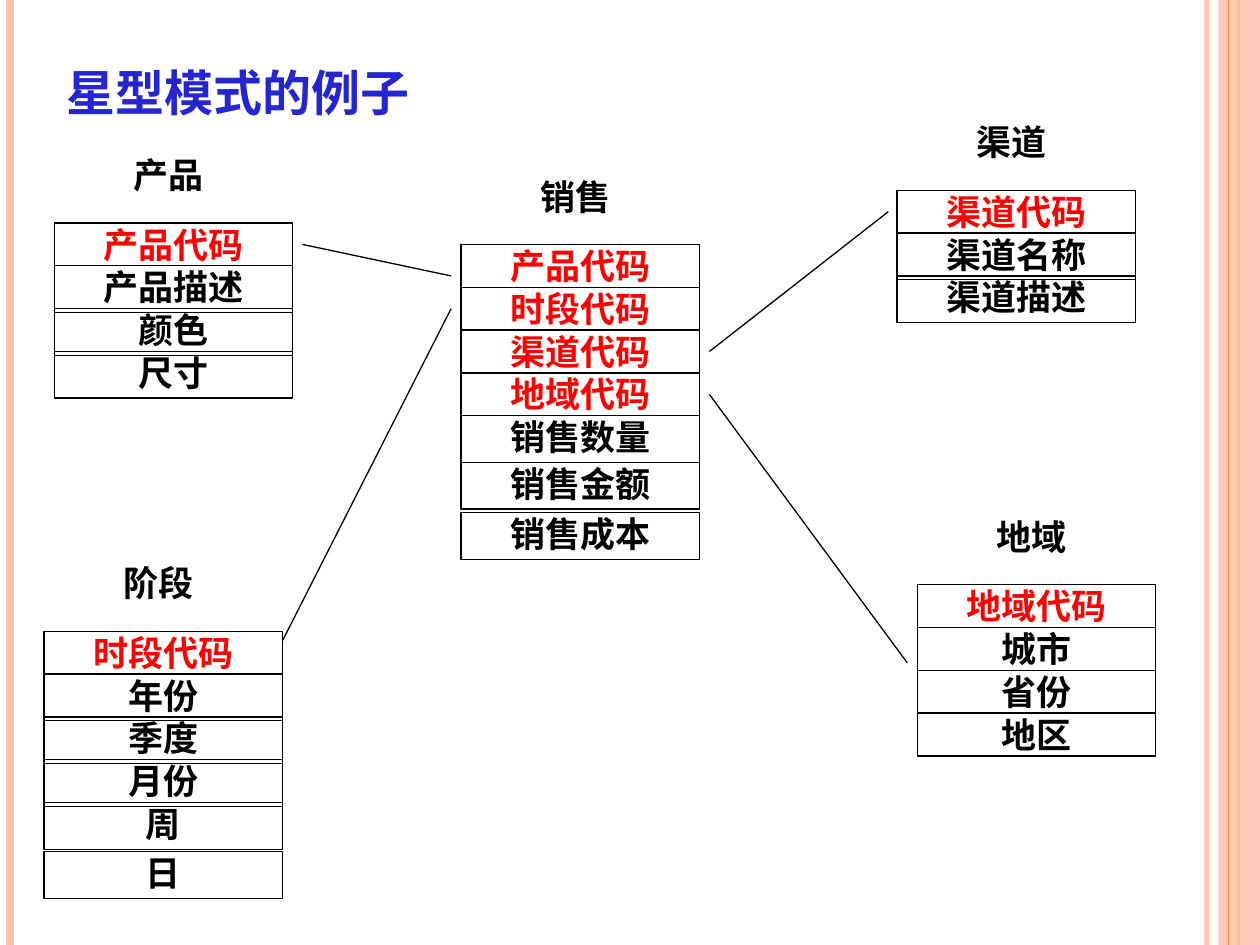
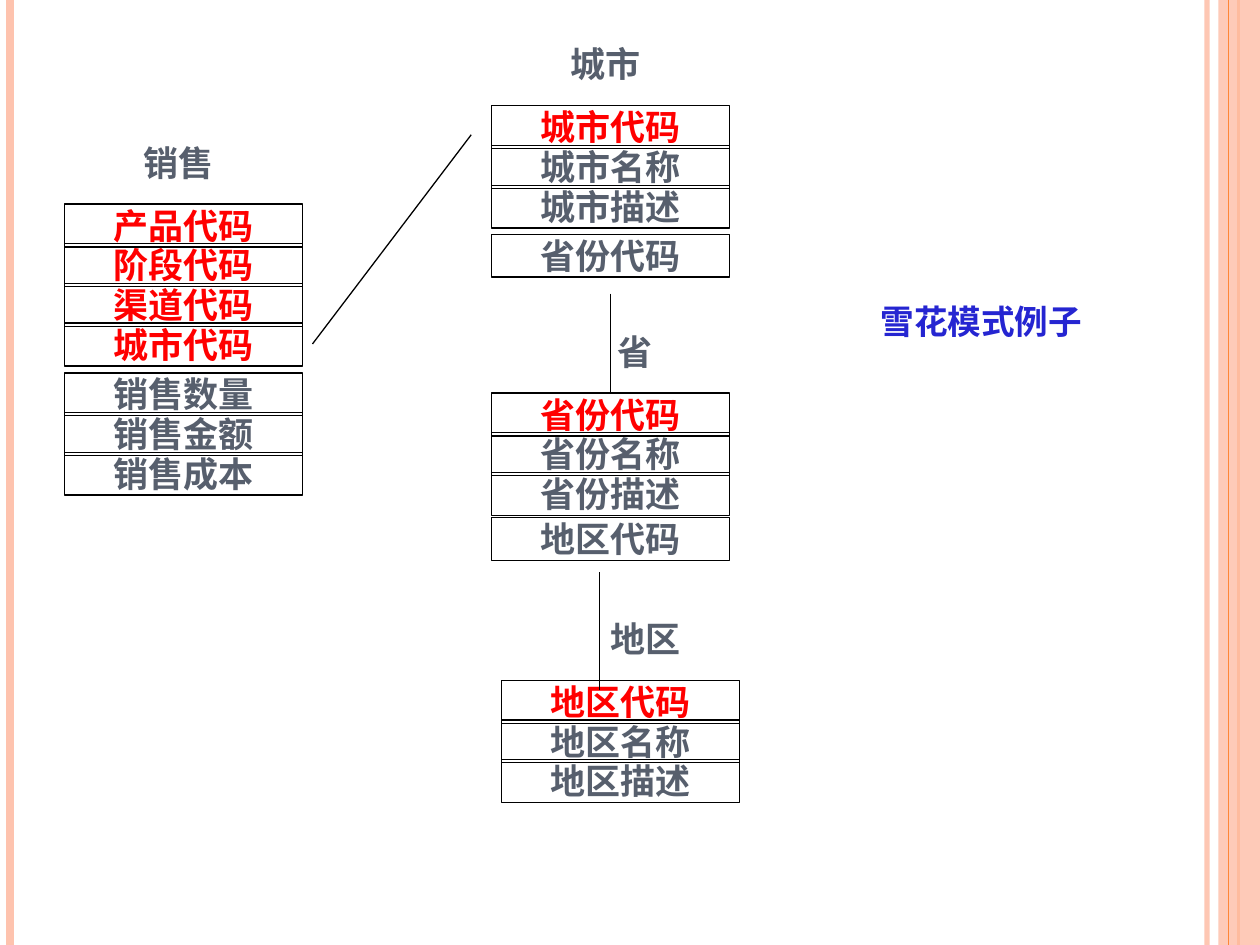
from dataclasses import dataclass
from typing import NamedTuple

from lxml.etree import SubElement
from pptx import Presentation
from pptx.dml.color import RGBColor
from pptx.enum.shapes import MSO_CONNECTOR as CONN, MSO_SHAPE as SHAPE
from pptx.enum.text import MSO_ANCHOR as ANCHOR, PP_ALIGN as ALIGN
from pptx.oxml.ns import qn
from pptx.util import Emu, Pt

PX = 4572
SLIDE_W, SLIDE_H = 2000, 1500
FONT = "Noto Sans CJK SC"
BLACK = RGBColor(0x00, 0x00, 0x00)
SLATE = RGBColor(0x57, 0x5F, 0x6D)
RED = RGBColor(0xFF, 0x00, 0x00)
BLUE = RGBColor(0x25, 0x25, 0xD1)
PEACH = RGBColor(0xFE, 0xC3, 0xAE)
ORANGE = RGBColor(0xFE, 0x86, 0x37)

ROW_W = 378
LABEL_W = 268


class Style(NamedTuple):
    """Look of the entities on one slide."""
    ink: RGBColor
    label_rise: int
    label_h: int


class Block(NamedTuple):
    """Run of evenly spaced field rows."""
    top: int
    pitch: int
    height: int
    fields: str
    color: RGBColor | None = None


@dataclass(frozen=True)
class Entity:
    """Named table of the data model."""
    name: str
    left: int
    blocks: tuple[Block, ...]
    label_dx: int = 48


class Link(NamedTuple):
    """Straight line between two points."""
    x1: int
    y1: int
    x2: int
    y2: int


class Rule(NamedTuple):
    """Vertical line of the slide frame."""
    x: int
    color: RGBColor
    width: float
    alpha: int = 100


RULES_BELOW = (Rule(1916, PEACH, 3, 93), Rule(16, PEACH, 4.5), Rule(1966, ORANGE, 1.5))
RULE_ABOVE = Rule(1950, ORANGE, 0.75)

STAR = Style(BLACK, 120, 94)
STAR_ENTITIES = (
    Entity("销售", 732, (
        Block(388, 68, 68, "产品代码 时段代码 渠道代码 地域代码", RED),
        Block(660, 74, 74, "销售数量 销售金额"),
        Block(814, 74, 74, "销售成本"))),
    Entity("地域", 1456, (
        Block(928, 68, 68, "地域代码", RED),
        Block(996, 68, 68, "城市 省份 地区"))),
    Entity("阶段", 70, (
        Block(1002, 68, 68, "时段代码", RED),
        Block(1070, 68, 74, "年份 季度 月份 周"),
        Block(1352, 68, 74, "日"))),
    Entity("渠道", 1424, (
        Block(302, 68, 68, "渠道代码", RED),
        Block(370, 68, 74, "渠道名称 渠道描述"))),
    Entity("产品", 86, (
        Block(354, 68, 68, "产品代码", RED),
        Block(422, 68, 74, "产品描述 颜色 尺寸"))),
)
STAR_LINKS = (
    Link(480, 388, 716, 438),
    Link(716, 490, 448, 1018),
    Link(1126, 558, 1410, 336),
    Link(1126, 626, 1440, 1052),
)

SNOW = Style(SLATE, 110, 86)
SNOW_ENTITIES = (
    Entity("销售", 102, (
        Block(324, 63, 68, "产品代码 阶段代码 渠道代码 城市代码", RED),
        Block(592, 63, 68, "销售数量 销售金额 销售成本"))),
    Entity("城市", 780, (
        Block(168, 63, 68, "城市代码", RED),
        Block(231, 63, 68, "城市名称 城市描述"),
        Block(372, 63, 68, "省份代码"))),
    Entity("地区", 796, (
        Block(1080, 63, 68, "地区代码", RED),
        Block(1143, 63, 68, "地区名称 地区描述")), label_dx=94),
    Entity("省", 780, (
        Block(624, 63, 68, "省份代码", RED),
        Block(687, 63, 68, "省份名称 省份描述"),
        Block(822, 63, 68, "地区代码")), label_dx=94),
)
SNOW_LINKS = (Link(496, 546, 748, 214), Link(952, 908, 952, 1096))
CITY_TO_PROVINCE = Link(969, 466, 969, 624)


def box(x: int, y: int, w: int, h: int) -> tuple[Emu, ...]:
    """Turn px lengths into EMU."""
    return tuple(Emu(v * PX) for v in (x, y, w, h))


def set_alpha(sp, percent: int) -> None:
    """Make the first solid colour of a shape translucent."""
    clr = next(sp._element.spPr.iter(qn("a:srgbClr")))
    SubElement(clr, qn("a:alpha")).set("val", str(percent * 1000))


def write(sp, text: str, *, color: RGBColor, size: int = 20, align=ALIGN.CENTER,
          anchor=ANCHOR.TOP, spacing: float = 1.0, inset: bool = True,
          small_caps: bool = False) -> None:
    """Put one formatted bold paragraph into a shape."""
    tf = sp.text_frame
    tf.word_wrap = True
    tf.vertical_anchor = anchor
    if not inset:
        tf.margin_left = tf.margin_top = tf.margin_right = tf.margin_bottom = 0
    p = tf.paragraphs[0]
    p.alignment = align
    p.line_spacing = spacing
    r = p.add_run()
    r.text = text
    r.font.size = Pt(size)
    r.font.bold = True
    r.font.color.rgb = color
    r.font.name = FONT
    rpr = r._r.get_or_add_rPr()
    SubElement(rpr, qn("a:ea")).set("typeface", FONT)
    if small_caps:
        rpr.set("cap", "small")


def add_link(s, link: Link, color: RGBColor = BLACK, width: float = 0.75):
    """Draw a straight connector."""
    sp = s.shapes.add_connector(CONN.STRAIGHT, *box(*link))
    sp.line.color.rgb = color
    sp.line.width = Pt(width)
    SubElement(sp._element.spPr, qn("a:effectLst"))
    return sp


def add_rule(s, rule: Rule) -> None:
    """Draw a full-height frame line."""
    sp = add_link(s, Link(rule.x, 0, rule.x, SLIDE_H), rule.color, rule.width)
    if rule.alpha < 100:
        set_alpha(sp, rule.alpha)


def add_frame(s) -> None:
    """Draw the side lines and band shared by the slides."""
    for rule in RULES_BELOW:
        add_rule(s, rule)
    sp = s.shapes.add_shape(SHAPE.RECTANGLE, *box(1934, 0, SLIDE_W - 1934, SLIDE_H))
    sp.shadow.inherit = False
    sp.fill.solid()
    sp.fill.fore_color.rgb = PEACH
    sp.line.fill.background()
    set_alpha(sp, 87)
    add_rule(s, RULE_ABOVE)


def add_row(s, x: int, y: int, h: int, text: str, color: RGBColor):
    """Draw one outlined field row."""
    sp = s.shapes.add_shape(SHAPE.RECTANGLE, *box(x, y, ROW_W, h))
    sp.shadow.inherit = False
    sp.fill.background()
    sp.line.color.rgb = BLACK
    sp.line.width = Pt(0.75)
    write(sp, text, color=color, inset=False)
    return sp


def add_entity(s, entity: Entity, style: Style):
    """Draw an entity and return its first row."""
    top = entity.blocks[0].top - style.label_rise
    label = s.shapes.add_textbox(
        *box(entity.left + entity.label_dx, top, LABEL_W, style.label_h))
    write(label, entity.name, color=style.ink)
    rows = [
        add_row(s, entity.left, b.top + i * b.pitch, b.height, field, b.color or style.ink)
        for b in entity.blocks
        for i, field in enumerate(b.fields.split())
    ]
    return rows[0]


def add_model(prs, entities: tuple[Entity, ...], links: tuple[Link, ...], style: Style):
    """Add a slide with its model; return it and the first rows by entity name."""
    s = prs.slides.add_slide(prs.slide_layouts[6])
    add_frame(s)
    heads = {e.name: add_entity(s, e, style) for e in entities}
    for link in links:
        add_link(s, link)
    return s, heads


def main() -> None:
    """Build and save the presentation."""
    prs = Presentation()
    prs.slide_width, prs.slide_height = Emu(SLIDE_W * PX), Emu(SLIDE_H * PX)

    s, _ = add_model(prs, STAR_ENTITIES, STAR_LINKS, STAR)
    write(s.shapes.add_textbox(*box(86, 42, 1666, 146)), "星型模式的例子",
          color=BLUE, size=28, align=ALIGN.LEFT, spacing=1.5)

    s, heads = add_model(prs, SNOW_ENTITIES, SNOW_LINKS, SNOW)
    add_link(s, CITY_TO_PROVINCE).end_connect(heads["省"], 0)
    write(s.shapes.add_textbox(*box(1378, 446, 470, 116)), "雪花模式例子",
          color=BLUE, size=24, align=ALIGN.LEFT, anchor=ANCHOR.MIDDLE,
          small_caps=True)

    prs.save("out.pptx")


if __name__ == "__main__":
    main()
